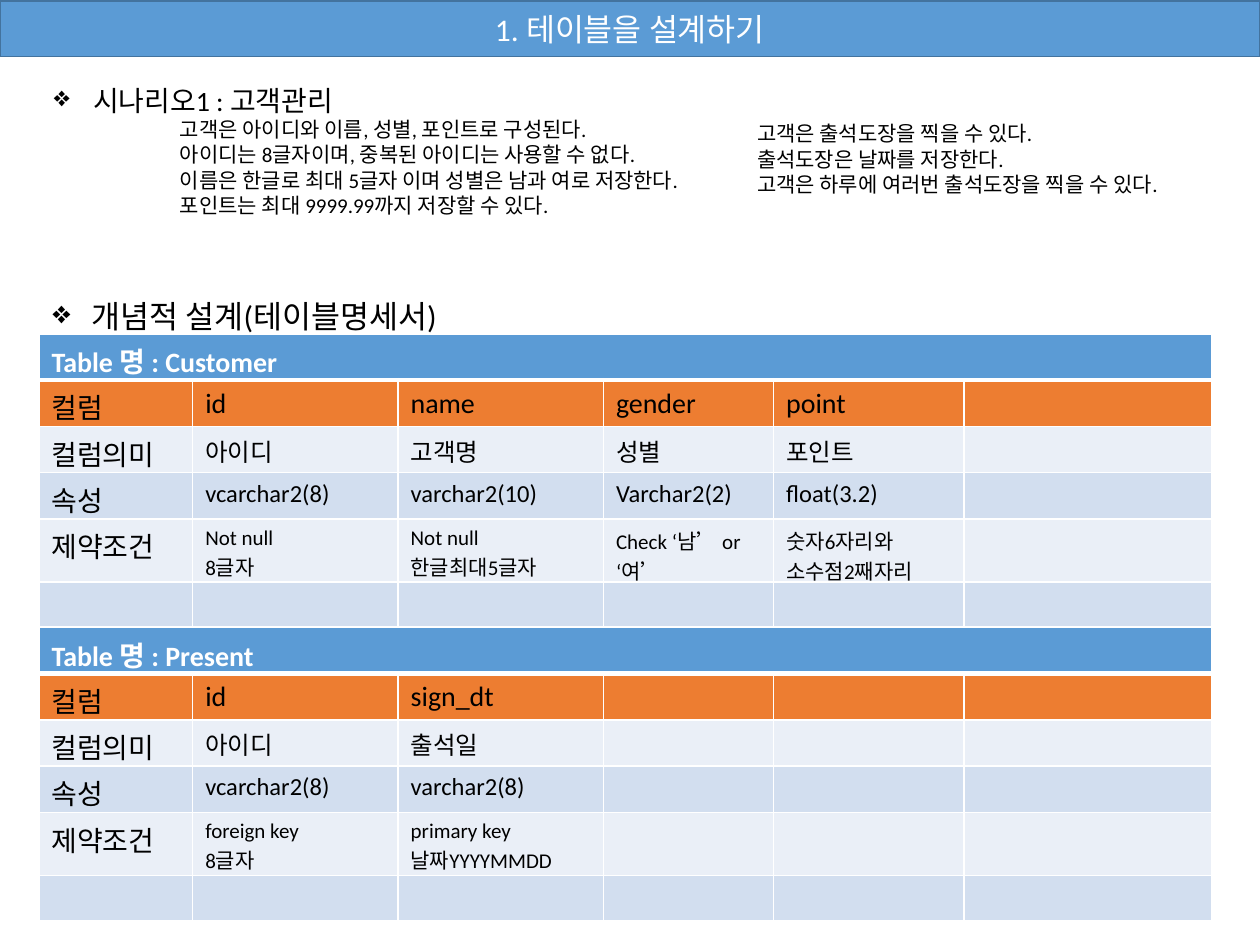
from dataclasses import dataclass

from lxml.etree import SubElement
from pptx import Presentation
from pptx.dml.color import RGBColor
from pptx.enum.shapes import MSO_SHAPE as Shape
from pptx.enum.text import MSO_ANCHOR as Anchor, MSO_AUTO_SIZE as Fit, PP_ALIGN as Align
from pptx.oxml.ns import qn
from pptx.util import Inches, Pt

BLUE = RGBColor(0x5B, 0x9B, 0xD5)
NAVY = RGBColor(0x43, 0x73, 0x9E)
ORANGE = RGBColor(0xED, 0x7D, 0x31)
PALE = RGBColor(0xEA, 0xEF, 0xF7)
SOFT = RGBColor(0xD2, 0xDE, 0xEF)
WHITE = RGBColor(0xFF, 0xFF, 0xFF)
BLACK = RGBColor(0x00, 0x00, 0x00)

FONT = "Calibri"
COLS = (1.22, 1.63, 1.63, 1.35, 1.51, 1.97)
ROWS = (0.36, 0.36, 0.36, 0.36, 0.5, 0.36)
FILLS = (BLUE, ORANGE, PALE, SOFT, PALE, SOFT)
SIZES = (16, 16, 14, 14, 12, 12)
LABELS = ("컬럼", "컬럼의미", "속성", "제약조건")


@dataclass
class Spec:
    """One table's title, its top and the entries of each described column."""
    title: str
    top: float
    fields: list[tuple[str, str, str, str]]


SPECS = [
    Spec("Table 명 : Customer", 2.65, [
        ("id", "아이디", "vcarchar2(8)", "Not null\n8글자"),
        ("name", "고객명", "varchar2(10)", "Not null\n한글최대5글자"),
        ("gender", "성별", "Varchar2(2)", "Check ‘남’ or ‘여’"),
        ("point", "포인트", "float(3.2)", "숫자6자리와 소수점2째자리"),
    ]),
    Spec("Table 명 : Present", 4.98, [
        ("id", "아이디", "vcarchar2(8)", "foreign key\n8글자"),
        ("sign_dt", "출석일", "varchar2(8)", "primary key\n날짜YYYYMMDD"),
    ]),
]


def write(frame, text: str, *, size: float, color=BLACK, bold=False,
          align=Align.LEFT, indent=0.0, bullet="", more=False) -> None:
    """Write each line as a paragraph; more appends to the text already there."""
    for i, line in enumerate(text.split("\n")):
        para = frame.add_paragraph() if more or i else frame.paragraphs[0]
        para.alignment = align
        if indent:
            props = para._p.get_or_add_pPr()
            props.set("marL", str(Inches(indent)))
            props.set("indent", str(Inches(-indent) if bullet else 0))
            if bullet:
                SubElement(props, qn("a:buChar")).set("char", bullet)
        if not line:
            para._p.get_or_add_endParaRPr().set("sz", str(Pt(size).centipoints))
            continue
        run = para.add_run()
        run.text = line
        run.font.name = FONT
        run.font.size = Pt(size)
        run.font.bold = bold
        run.font.color.rgb = color


def add_box(slide, left: float, top: float, width: float, height: float):
    box = slide.shapes.add_textbox(
        Inches(left), Inches(top), Inches(width), Inches(height))
    frame = box.text_frame
    frame.word_wrap = False
    frame.auto_size = Fit.SHAPE_TO_FIT_TEXT
    return frame


def add_bar(slide, text: str) -> None:
    bar = slide.shapes.add_shape(
        Shape.RECTANGLE, Inches(0), Inches(0.01), Inches(10), Inches(0.44))
    bar.shadow.inherit = False
    bar.fill.solid()
    bar.fill.fore_color.rgb = BLUE
    bar.line.color.rgb = NAVY
    bar.line.width = Pt(1)
    bar.text_frame.vertical_anchor = Anchor.MIDDLE
    write(bar.text_frame, text, size=18, color=WHITE, align=Align.CENTER)


def set_edges(cell, top: float, bottom: float) -> None:
    """Give a cell white borders; the widths are in points."""
    props = cell._tc.get_or_add_tcPr()
    edges = {"lnL": 1, "lnR": 1, "lnT": top, "lnB": bottom}
    for i, (tag, width) in enumerate(edges.items()):
        line = SubElement(props, qn(f"a:{tag}"))
        line.set("w", str(Pt(width)))
        fill = SubElement(line, qn("a:solidFill"))
        SubElement(fill, qn("a:srgbClr")).set("val", str(WHITE))
        props.insert(i, line)


def add_grid(slide, spec: Spec) -> None:
    grid = slide.shapes.add_table(
        len(ROWS), len(COLS), Inches(0.31), Inches(spec.top),
        Inches(sum(COLS)), Inches(sum(ROWS))).table
    grid.first_row = grid.horz_banding = False
    for col, width in zip(grid.columns, COLS):
        col.width = Inches(width)
    for row, height in zip(grid.rows, ROWS):
        row.height = Inches(height)
    grid.cell(0, 0).merge(grid.cell(0, len(COLS) - 1))

    columns = [LABELS, *spec.fields]
    for r, fill in enumerate(FILLS):
        for c in range(len(COLS)):
            cell = grid.cell(r, c)
            cell.fill.solid()
            cell.fill.fore_color.rgb = fill
            set_edges(cell, 3 if r == 1 else 1, 3 if r == 0 else 1)
            inside = 0 < r <= len(LABELS) and c < len(columns)
            text = columns[c][r - 1] if inside else ""
            size = 16 if inside and c == 0 else SIZES[r]
            if r or c:
                write(cell.text_frame, text, size=size)
    write(grid.cell(0, 0).text_frame, spec.title, size=16, color=WHITE, bold=True)


def main() -> None:
    deck = Presentation()
    deck.slide_width, deck.slide_height = Inches(10), Inches(7.5)
    slide = deck.slides.add_slide(deck.slide_layouts[6])

    story = add_box(slide, 0.33, 0.61, 5.52, 1.18)
    write(story, "시나리오1 : 고객관리", size=16, indent=0.31, bullet="❖")
    write(story, "고객은 아이디와 이름, 성별, 포인트로 구성된다.\n"
                 "아이디는 8글자이며, 중복된 아이디는 사용할 수 없다.\n"
                 "이름은 한글로 최대 5글자 이며 성별은 남과 여로 저장한다.\n"
                 "포인트는 최대 9999.99까지 저장할 수 있다.",
          size=12, indent=1, more=True)
    add_bar(slide, "1. 테이블을 설계하기")
    write(add_box(slide, 0.32, 2.31, 3.51, 0.4), "개념적 설계(테이블명세서)",
          size=18, indent=0.31, bullet="❖")
    for spec in SPECS:
        add_grid(slide, spec)
    write(add_box(slide, 5.91, 0.91, 3.71, 0.71),
          "고객은 출석도장을 찍을 수 있다.\n"
          "출석도장은 날짜를 저장한다.\n"
          "고객은 하루에 여러번 출석도장을 찍을 수 있다.", size=12)
    deck.save("out.pptx")


if __name__ == "__main__":
    main()
